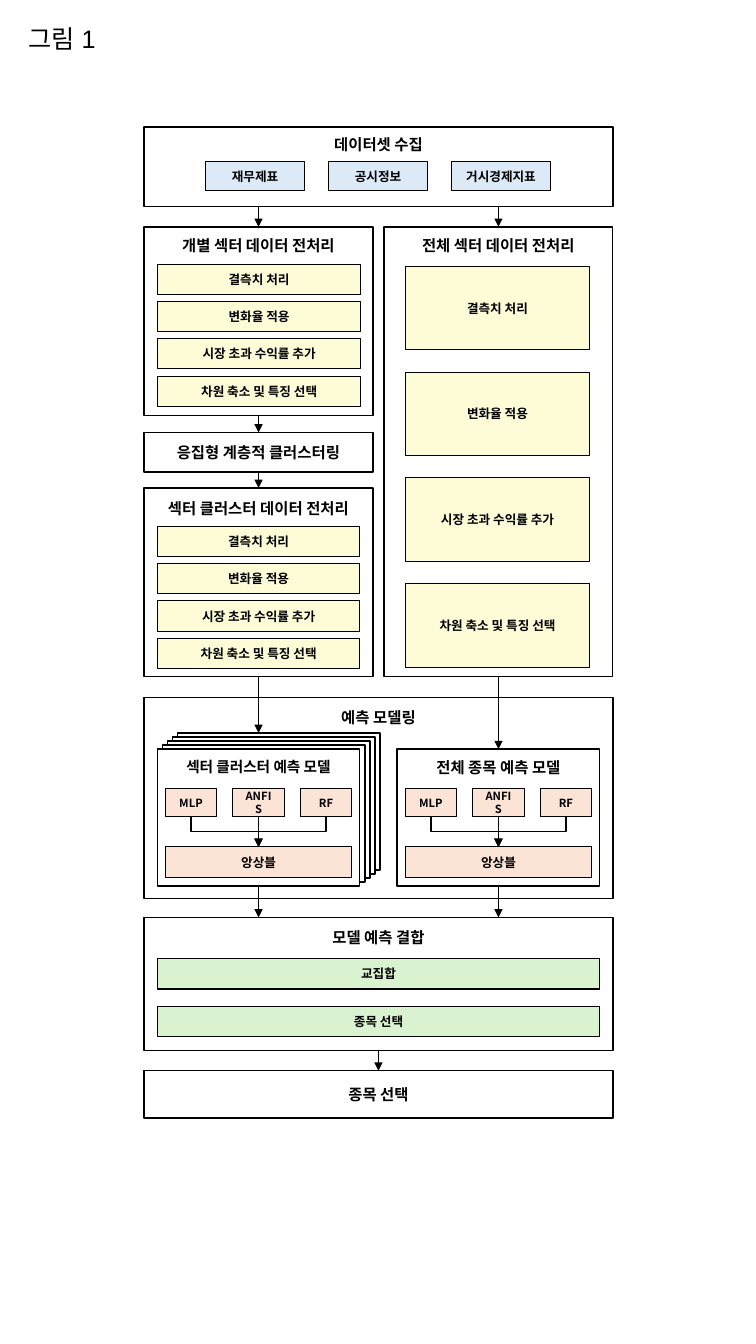
from dataclasses import dataclass

from lxml import etree
from pptx import Presentation
from pptx.dml.color import RGBColor
from pptx.enum.shapes import MSO_CONNECTOR, MSO_SHAPE
from pptx.enum.text import MSO_ANCHOR, MSO_AUTO_SIZE, PP_ALIGN
from pptx.oxml.ns import qn
from pptx.shapes.autoshape import Shape
from pptx.shapes.connector import Connector
from pptx.slide import Slide
from pptx.util import Inches, Pt

RECTANGLE = MSO_SHAPE.RECTANGLE
STRAIGHT, ELBOW = MSO_CONNECTOR.STRAIGHT, MSO_CONNECTOR.ELBOW
CENTER, LEFT = PP_ALIGN.CENTER, PP_ALIGN.LEFT
TOP, MIDDLE = MSO_ANCHOR.TOP, MSO_ANCHOR.MIDDLE
GROW = MSO_AUTO_SIZE.SHAPE_TO_FIT_TEXT
TOP_SITE, BOTTOM_SITE = 0, 2

COLORS = {
    "ink": "000000", "white": "FFFFFF", "source": "DCEAF7",
    "step": "FEFCD6", "model": "FBE3D6", "merge": "D9F2D0",
}
DIAGRAM_FONT, CAPTION_FONT = "Noto Sans CJK KR", "Arial"

# Shared columns of the diagram
DIAGRAM_LEFT, DIAGRAM_WIDTH = 1.43, 4.65
SECTOR_LEFT, MARKET_LEFT, COLUMN_WIDTH = 1.43, 3.81, 2.27
SECTOR_AXIS = SECTOR_LEFT + COLUMN_WIDTH / 2
MARKET_AXIS = MARKET_LEFT + COLUMN_WIDTH / 2
STEPS = ["결측치 처리", "변화율 적용", "시장 초과 수익률 추가", "차원 축소 및 특징 선택"]
MODELS = ["MLP", "ANFIS", "RF"]


@dataclass
class Box:
    left: float
    top: float
    width: float
    height: float
    text: str = ""
    fill: str = ""
    size: float = 9
    line: float = 0.75


@dataclass
class Panel:
    frame: Box
    title: str
    title_top: float
    items: list[str]
    first: Box
    step_x: float = 0
    step_y: float = 0


def write(shape: Shape, text: str, size: float, font_name: str = DIAGRAM_FONT,
          bold: bool = True, align: PP_ALIGN = CENTER, anchor: MSO_ANCHOR = MIDDLE) -> None:
    frame = shape.text_frame
    frame.word_wrap = True
    frame.vertical_anchor = anchor
    para = frame.paragraphs[0]
    para.text = text
    para.alignment = align
    font = para.font
    font.name, font.size, font.bold = font_name, Pt(size), bold
    font.color.rgb = RGBColor.from_string(COLORS["ink"])
    etree.SubElement(font._rPr, qn("a:ea")).set("typeface", font_name)


def add_box(page: Slide, box: Box) -> Shape:
    shape = page.shapes.add_shape(RECTANGLE, Inches(box.left), Inches(box.top),
                                  Inches(box.width), Inches(box.height))
    shape.shadow.inherit = False
    if box.fill:
        shape.fill.solid()
        shape.fill.fore_color.rgb = RGBColor.from_string(COLORS[box.fill])
    else:
        shape.fill.background()
    shape.line.color.rgb = RGBColor.from_string(COLORS["ink"])
    shape.line.width = Pt(box.line)
    if box.text:
        write(shape, box.text, box.size)
    return shape


def add_heading(page: Slide, frame: Box, text: str, top: float, size: float = 11) -> None:
    label = page.shapes.add_textbox(Inches(frame.left), Inches(top),
                                    Inches(frame.width), Inches(0.29))
    write(label, text, size, anchor=TOP)
    label.text_frame.auto_size = GROW


def add_panel(page: Slide, panel: Panel) -> Shape:
    shape = add_box(page, panel.frame)
    add_heading(page, panel.frame, panel.title, panel.title_top)
    first = panel.first
    for index, item in enumerate(panel.items):
        add_box(page, Box(first.left + index * panel.step_x, first.top + index * panel.step_y,
                          first.width, first.height, item, first.fill))
    return shape


def style_arrow(arrow: Connector) -> None:
    arrow.line.color.rgb = RGBColor.from_string(COLORS["ink"])
    arrow.line.width = Pt(1)
    etree.SubElement(arrow.line._get_or_add_ln(), qn("a:tailEnd")).set("type", "triangle")
    etree.SubElement(arrow._element.spPr, qn("a:effectLst"))


def add_arrow(page: Slide, axis: float, top: float, bottom: float,
              above: Shape | None = None, below: Shape | None = None) -> None:
    arrow = page.shapes.add_connector(STRAIGHT, Inches(axis), Inches(top),
                                      Inches(axis), Inches(bottom))
    if above is not None:
        arrow.begin_connect(above, BOTTOM_SITE)
    if below is not None:
        arrow.end_connect(below, TOP_SITE)
    style_arrow(arrow)


def add_elbow(page: Slide, start: float, end: float, top: float, bottom: float) -> None:
    """Route down, across and down again by turning an elbow a quarter."""
    middle_x, middle_y = (start + end) / 2, (top + bottom) / 2
    half_width, half_height = (bottom - top) / 2, abs(end - start) / 2
    side = 1 if start > end else -1
    arrow = page.shapes.add_connector(
        ELBOW, Inches(middle_x - side * half_width), Inches(middle_y - half_height),
        Inches(middle_x + side * half_width), Inches(middle_y + half_height))
    quarter_turn = 90 if side == 1 else 270
    arrow._element.spPr.find(qn("a:xfrm")).set("rot", str(quarter_turn * 60000))
    style_arrow(arrow)


def add_model_card(page: Slide, left: float, title: str, title_size: float) -> Shape:
    frame = Box(left, 7.43, 2.01, 1.36, fill="white", line=1)
    card = add_box(page, frame)
    add_heading(page, frame, title, 7.47, title_size)
    axis = left + frame.width / 2
    models = [add_box(page, Box(left + 0.08 + index * 0.67, 7.82, 0.51, 0.28, name, "model", 8))
              for index, name in enumerate(MODELS)]
    ensemble = add_box(page, Box(left + 0.08, 8.4, 1.85, 0.3, "앙상블", "model"))
    add_arrow(page, axis, 8.1, 8.4, models[1], ensemble)
    for offset in (0.67, -0.67):
        add_elbow(page, axis + offset, axis, 8.1, 8.4)
    return card


def main() -> None:
    deck = Presentation()
    deck.slide_width, deck.slide_height = Inches(7.5), Inches(13.33)
    page = deck.slides.add_slide(deck.slide_layouts[5])

    # Caption
    caption = page.shapes.title
    caption.left, caption.top = Inches(0.18), Inches(0.18)
    caption.width, caption.height = Inches(1.36), Inches(0.4)
    write(caption, "그림 1", 18, CAPTION_FONT, False, LEFT, TOP)
    caption.text_frame.auto_size = GROW

    # Data collection and preprocessing
    add_panel(page, Panel(
        Box(DIAGRAM_LEFT, 1.26, DIAGRAM_WIDTH, 0.79, line=1), "데이터셋 수집", 1.29,
        ["재무제표", "공시정보", "거시경제지표"],
        Box(2.04, 1.6, 0.98, 0.29, fill="source"), step_x=1.22))
    sector = add_panel(page, Panel(
        Box(SECTOR_LEFT, 2.25, COLUMN_WIDTH, 1.87, line=1), "개별 섹터 데이터 전처리", 2.29,
        STEPS, Box(1.56, 2.62, 2.02, 0.3, fill="step"), step_y=0.37))
    market = add_panel(page, Panel(
        Box(MARKET_LEFT, 2.25, COLUMN_WIDTH, 4.46, line=1), "전체 섹터 데이터 전처리", 2.29,
        STEPS, Box(4.02, 2.64, 1.83, 0.83, fill="step"), step_y=1.05))
    clustering = add_box(page, Box(SECTOR_LEFT, 4.29, COLUMN_WIDTH, 0.39,
                                   "응집형 계층적 클러스터링", size=11, line=1))
    cluster = add_panel(page, Panel(
        Box(SECTOR_LEFT, 4.84, COLUMN_WIDTH, 1.87, line=1), "섹터 클러스터 데이터 전처리", 4.9,
        STEPS, Box(1.56, 5.22, 2.01, 0.3, fill="step"), step_y=0.37))

    # Prediction models, with a stack of cards for the sector clusters
    modelling = Box(DIAGRAM_LEFT, 6.92, DIAGRAM_WIDTH, 1.99, line=1)
    add_box(page, modelling)
    add_heading(page, modelling, "예측 모델링", 6.97)
    for depth in range(4, 0, -1):
        add_box(page, Box(1.56 + depth * 0.05, 7.43 - depth * 0.04, 2.01, 1.36,
                          fill="white", line=1))
    cluster_card = add_model_card(page, 1.56, "섹터 클러스터 예측 모델", 10.5)
    market_card = add_model_card(page, 3.94, "전체 종목 예측 모델", 11)

    # Combined prediction and selection
    combination = add_panel(page, Panel(
        Box(DIAGRAM_LEFT, 9.1, DIAGRAM_WIDTH, 1.32, line=1), "모델 예측 결합", 9.16,
        ["교집합", "종목 선택"], Box(1.56, 9.51, 4.39, 0.3, fill="merge"), step_y=0.47))
    selection = add_box(page, Box(DIAGRAM_LEFT, 10.62, DIAGRAM_WIDTH, 0.47,
                                  "종목 선택", "white", 11, 1))

    # Flow between the stages
    add_arrow(page, SECTOR_AXIS, 2.05, 2.25, below=sector)
    add_arrow(page, MARKET_AXIS, 2.05, 2.25, below=market)
    add_arrow(page, SECTOR_AXIS, 4.12, 4.29, sector, clustering)
    add_arrow(page, SECTOR_AXIS, 4.68, 4.84, clustering, cluster)
    add_arrow(page, SECTOR_AXIS, 6.71, 7.27, cluster)
    add_arrow(page, MARKET_AXIS, 6.71, 7.43, market, market_card)
    add_arrow(page, SECTOR_AXIS, 8.79, 9.1, cluster_card)
    add_arrow(page, MARKET_AXIS, 8.79, 9.1, market_card)
    add_arrow(page, DIAGRAM_LEFT + DIAGRAM_WIDTH / 2, 10.42, 10.62, combination, selection)

    deck.save("out.pptx")


if __name__ == "__main__":
    main()
